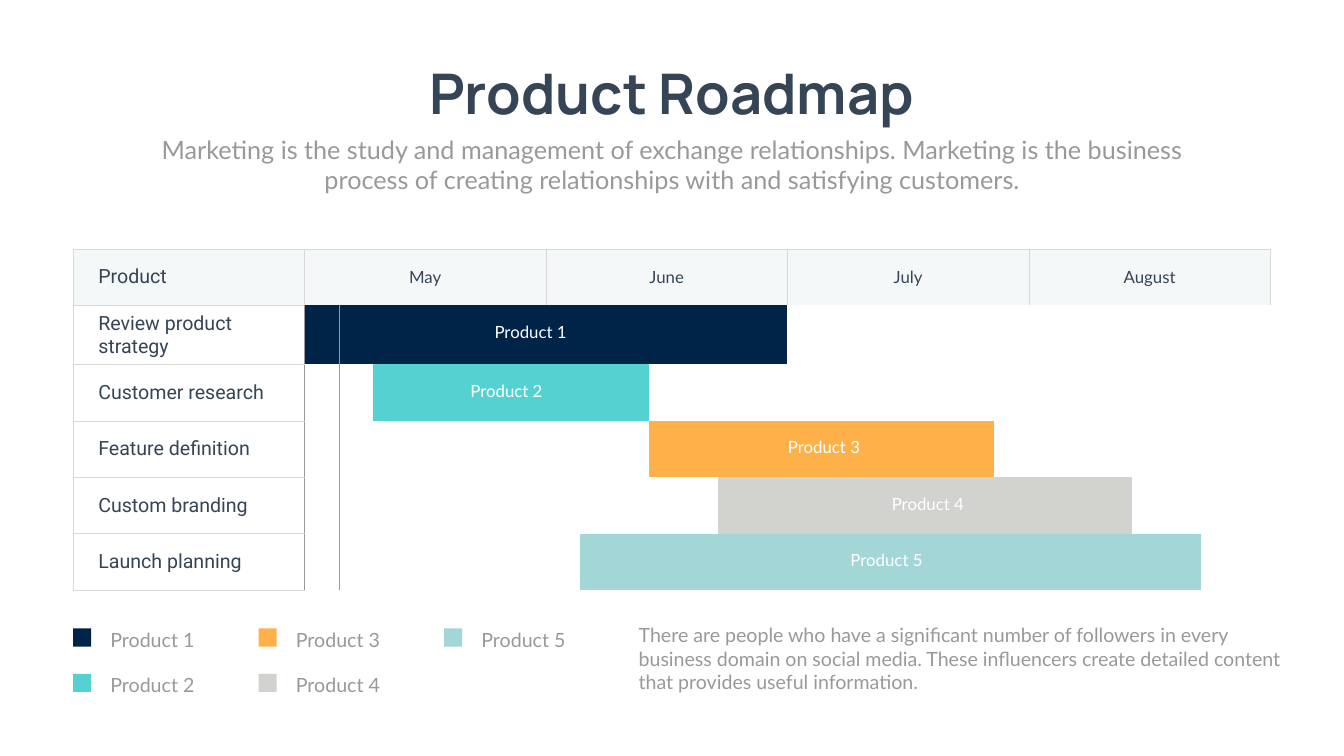
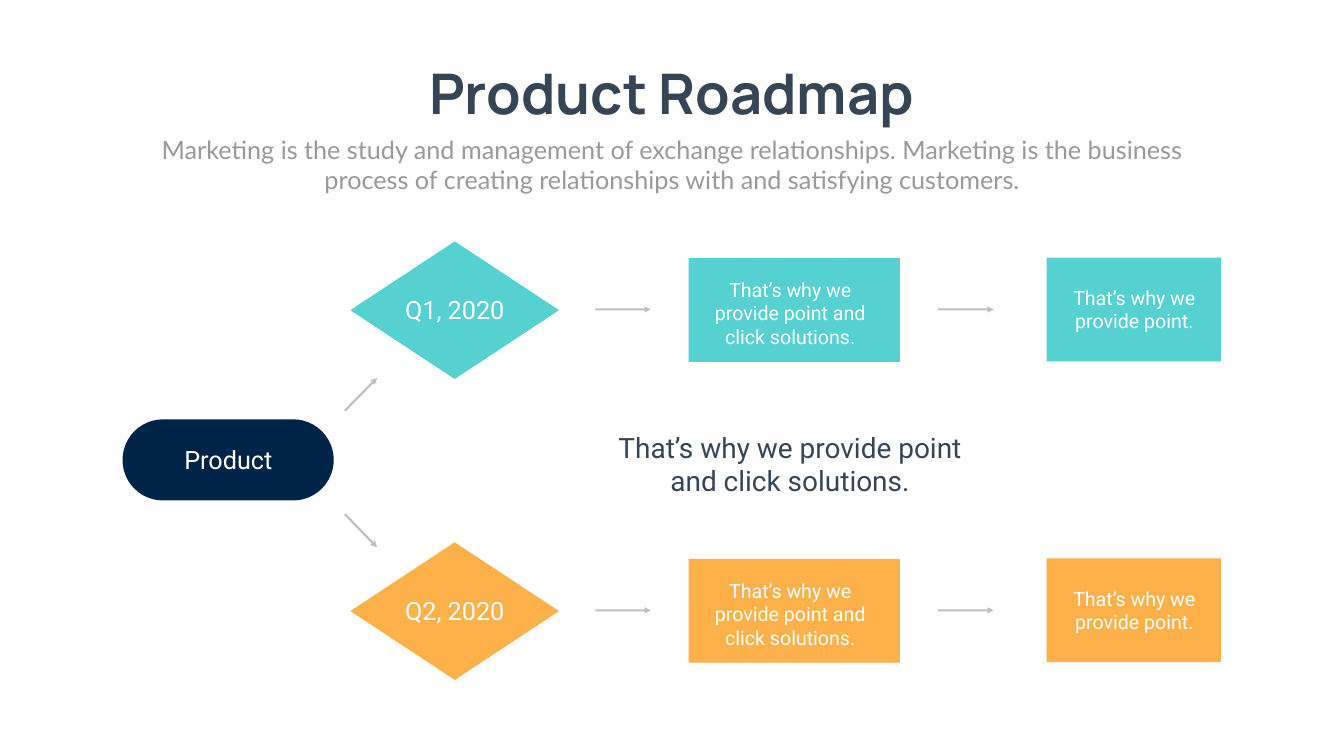
from lxml.etree import SubElement
from pptx import Presentation
from pptx.dml.color import RGBColor
from pptx.enum.shapes import MSO_CONNECTOR, MSO_SHAPE as SHAPE
from pptx.enum.text import MSO_ANCHOR as ANCHOR, MSO_AUTO_SIZE as FIT, PP_ALIGN as ALIGN
from pptx.oxml.ns import qn
from pptx.util import Inches, Pt

NAVY, TEAL, ORANGE, SILVER, AQUA = "002447", "56D1D2", "FEB148", "D2D3CF", "A3D7D7"
INK, GREY, RULE, PALE, WHITE, ARROW = "364556", "999999", "D9D9D9", "F5F8F9", "FFFFFF", "808080"
NO_TABLE_STYLE = "{2D5ABB26-0587-4C30-8999-92F81FD0307C}"

TITLE = "Product Roadmap"
SUBTITLE = ("Marketing is the study and management of exchange relationships. "
            "Marketing is the business process of creating relationships with "
            "and satisfying customers.")
INFLUENCERS = ("There are people who have a significant number of followers in every "
               "business domain on social media. These influencers create detailed "
               "content that provides useful information.")
SOLUTIONS = "That’s why we provide point and click solutions."
POINT = "That’s why we provide point."

MONTHS = ["May", "June", "July", "August"]
SLOTS = 7  # table columns per month
# task, product, colour, first slot, slots, left of the label within the table
TASKS = [
    ("Review product strategy", "Product 1", NAVY, 0, 14, 6.98),
    ("Customer research", "Product 2", TEAL, 2, 8, 6.5),
    ("Feature definition", "Product 3", ORANGE, 10, 10, 12.8),
    ("Custom branding", "Product 4", SILVER, 12, 12, 14.86),
    ("Launch planning", "Product 5", AQUA, 8, 18, 14.04),
]
HEADER_HEIGHT, TASK_HEIGHTS = 1.12, [1.17, 1.12, 1.12, 1.12, 1.12]
TASK_WIDTH = 4.59


def rgb(colour):
    return RGBColor.from_string(colour)


def inches(*lengths):
    return [Inches(length) for length in lengths]


def set_insets(holder, left, top, right, bottom):
    """Set the margins of a text frame or a table cell."""
    holder.margin_left, holder.margin_top, holder.margin_right, holder.margin_bottom = inches(
        left, top, right, bottom)


def write(frame, words, size, font, colour, align=ALIGN.LEFT, bold=False):
    frame.text = words
    paragraph = frame.paragraphs[0]
    paragraph.alignment = align
    paragraph.font.size = Pt(size)
    paragraph.font.name = font
    paragraph.font.bold = bold
    paragraph.font.color.rgb = rgb(colour)
    return paragraph


def add_text(slide, box, words, size, font, colour, align=ALIGN.CENTER):
    frame = slide.shapes.add_textbox(*inches(*box)).text_frame
    frame.word_wrap = True
    frame.auto_size = FIT.SHAPE_TO_FIT_TEXT
    write(frame, words, size, font, colour, align)
    return frame


def add_block(slide, kind, box, colour):
    block = slide.shapes.add_shape(kind, *inches(*box))
    block.shadow.inherit = False
    block.fill.solid()
    block.fill.fore_color.rgb = rgb(colour)
    block.line.fill.background()
    return block


def add_arrow(slide, start, end):
    arrow = slide.shapes.add_connector(MSO_CONNECTOR.STRAIGHT, *inches(*start, *end))
    arrow.line.width = Pt(3)
    arrow.line.color.rgb = rgb(ARROW)
    properties = arrow.element.spPr
    line = properties.find(qn("a:ln"))
    SubElement(line.find(".//" + qn("a:srgbClr")), qn("a:alpha"), val="50000")
    SubElement(line, qn("a:tailEnd"), type="triangle")
    SubElement(properties, qn("a:effectLst"))


def add_roadmap_slide(deck):
    """Add a slide with the shared title and subtitle."""
    slide = deck.slides.add_slide(deck.slide_layouts[5])
    title = slide.shapes.title
    title.left, title.top, title.width, title.height = inches(7.99, 1.12, 10.67, 1.45)
    frame = title.text_frame
    frame.word_wrap = False
    frame.auto_size = FIT.SHAPE_TO_FIT_TEXT
    frame.vertical_anchor = ANCHOR.TOP
    write(frame, TITLE, 80, "Manrope", INK, ALIGN.CENTER, bold=True)
    add_text(slide, (2.92, 2.61, 20.82, 1.31), SUBTITLE, 36, "Lato", GREY)
    return slide


def format_cell(cell, fill, **borders):
    """Fill a cell and draw its borders, given as a colour for each of L, R, T and B."""
    properties = cell._tc.get_or_add_tcPr()
    for side in "LRTB":
        if side in borders:
            line = SubElement(properties, qn("a:ln" + side), w=str(Pt(1)))
            SubElement(SubElement(line, qn("a:solidFill")), qn("a:srgbClr"), val=borders[side])
    cell.fill.solid()
    cell.fill.fore_color.rgb = rgb(fill)


def write_cell(cell, words, size, font, insets, align=ALIGN.LEFT):
    write(cell.text_frame, words, size, font, INK, align)
    cell.vertical_anchor = ANCHOR.MIDDLE
    set_insets(cell, *insets)


def add_schedule(slide, box):
    left, top, width, height = box
    slot_count = SLOTS * len(MONTHS)
    graphic = slide.shapes.add_table(len(TASKS) + 1, slot_count + 1, *inches(*box))
    for style in graphic.element.iter(qn("a:tableStyleId")):
        style.text = NO_TABLE_STYLE
    table = graphic.table
    table.first_row = table.horz_banding = False
    for index, column in enumerate(table.columns):
        column.width = Inches((width - TASK_WIDTH) / slot_count if index else TASK_WIDTH)
    for row, row_height in zip(table.rows, [HEADER_HEIGHT] + TASK_HEIGHTS):
        row.height = Inches(row_height)

    task_insets = (0.5, 0.04, 0.07, 0.04)
    corner = table.cell(0, 0)
    write_cell(corner, "Product", 28, "Roboto", task_insets)
    format_cell(corner, PALE, L=RULE, R=RULE, T=RULE, B=RULE)
    for index, month in enumerate(MONTHS):
        first = 1 + index * SLOTS
        heading = table.cell(0, first)
        heading.merge(table.cell(0, first + SLOTS - 1))
        write_cell(heading, month, 24, "Lato", (0, 0.04, 0, 0.04), ALIGN.CENTER)
        format_cell(heading, PALE, L=RULE, R=RULE, T=RULE)

    row_top = top + HEADER_HEIGHT
    for row, (task, product, colour, first, length, label_left) in enumerate(TASKS, 1):
        name = table.cell(row, 0)
        write_cell(name, task, 28, "Roboto", task_insets)
        format_cell(name, WHITE, L=RULE, R=GREY, T=RULE, B=RULE)
        for slot in range(slot_count):
            fill = colour if first <= slot < first + length else WHITE
            edge = {} if slot else {"L": GREY}
            format_cell(table.cell(row, slot + 1), fill, **edge)
        add_text(slide, (left + label_left, row_top + 0.27, 4.19, 0.5),
                 product, 24, "Lato", WHITE)
        row_top += TASK_HEIGHTS[row - 1]


def add_legend(slide, left, top):
    """Place the product keys column by column, two to a column."""
    for index, (_, product, colour, *_) in enumerate(TASKS):
        column, row = divmod(index, 2)
        x, y = left + column * 3.68, top + row * 0.9
        add_block(slide, SHAPE.RECTANGLE, (x, y + 0.24, 0.36, 0.36), colour)
        frame = add_text(slide, (x + 0.5, y, 2.44, 0.75), product, 28, "Lato", GREY, ALIGN.LEFT)
        set_insets(frame, 0.24, 0.12, 0.24, 0.12)
        frame.paragraphs[0].line_spacing = Pt(40.8)


def add_step(slide, kind, box, colour, caption, size, caption_box):
    """Add a flow step; caption_box is relative to the step's corner."""
    left, top = box[:2]
    dx, dy, width, height = caption_box
    step = add_block(slide, kind, box, colour)
    add_text(slide, (left + dx, top + dy, width, height), caption, size, "Roboto", WHITE)
    return step


def add_quarter(slide, left, top, quarter, colour):
    """Add one row of the flow: quarter, two steps and the arrows between."""
    add_step(slide, SHAPE.DIAMOND, (left, top, 4.14, 2.73), colour,
             quarter, 36, (0.32, 1, 3.5, 0.71))
    add_step(slide, SHAPE.RECTANGLE, (left + 6.71, top + 0.33, 4.19, 2.06), colour,
             SOLUTIONS, 28, (0.18, 0.34, 3.67, 1.51))
    add_step(slide, SHAPE.RECTANGLE, (left + 13.81, top + 0.32, 3.46, 2.06), colour,
             POINT, 28, (0.27, 0.51, 2.94, 1.04))
    for offset in (4.86, 11.66):
        x, y = left + offset, top + 1.35
        add_arrow(slide, (x, y), (x + 1.1, y))


def build_schedule_slide(deck):
    slide = add_roadmap_slide(deck)
    add_schedule(slide, (1.45, 4.94, 23.76, 6.75))
    add_legend(slide, 1.45, 12.23)
    add_text(slide, (12.57, 12.31, 13.04, 1.51), INFLUENCERS, 28, "Lato", GREY, ALIGN.LEFT)


def build_flow_slide(deck):
    slide = add_roadmap_slide(deck)
    product = add_step(slide, SHAPE.ROUNDED_RECTANGLE, (2.43, 8.32, 4.19, 1.61), NAVY,
                       "Product", 36, (0.4, 0.44, 3.4, 0.71))
    product.adjustments[0] = 0.5
    add_quarter(slide, 6.95, 4.79, "Q1, 2020", TEAL)
    add_quarter(slide, 6.95, 10.76, "Q2, 2020", ORANGE)
    add_arrow(slide, (6.84, 8.15), (7.48, 7.5))
    add_arrow(slide, (6.84, 10.2), (7.48, 10.86))
    add_text(slide, (11.97, 8.49, 7.4, 1.45), SOLUTIONS, 40, "Roboto", INK)


def main():
    deck = Presentation()
    deck.slide_width, deck.slide_height = inches(26.66, 15)
    build_schedule_slide(deck)
    build_flow_slide(deck)
    deck.save("out.pptx")


if __name__ == "__main__":
    main()
